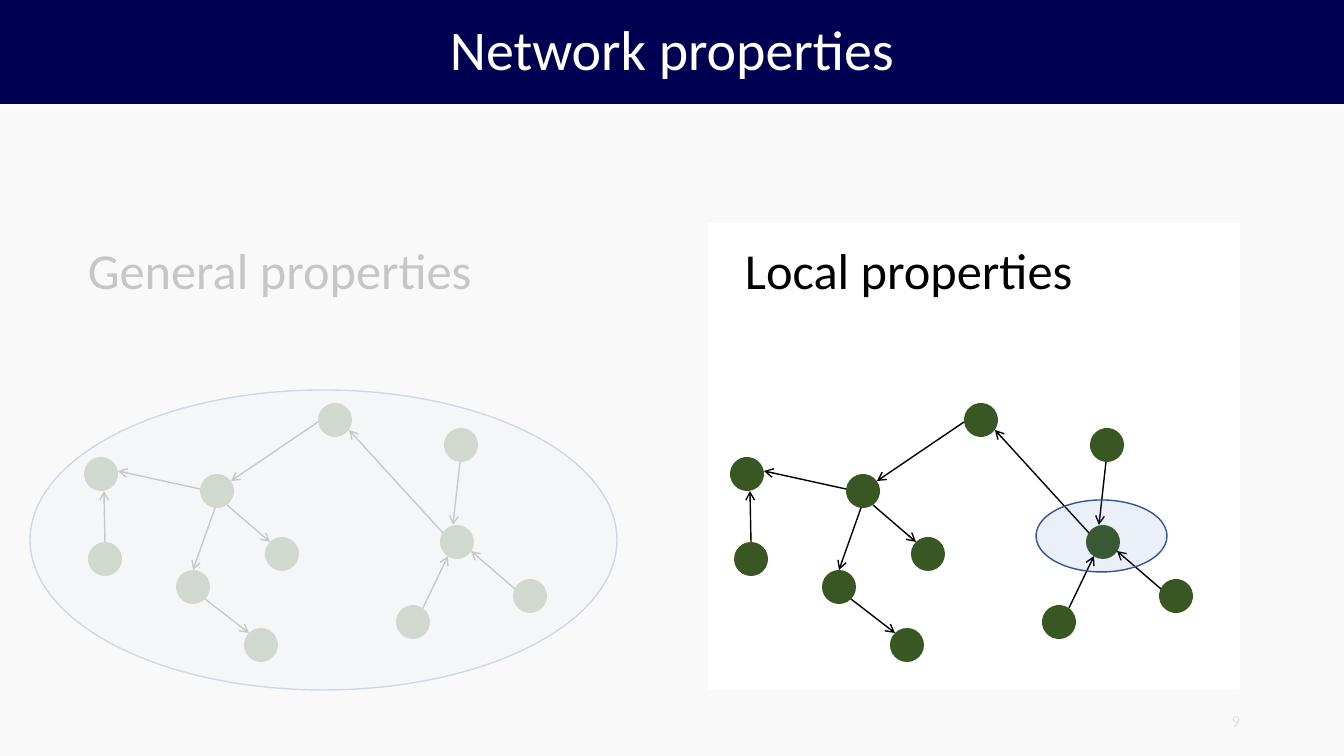
from math import cos, radians, sin

from lxml import etree
from pptx import Presentation
from pptx.dml.color import RGBColor
from pptx.enum.shapes import MSO_CONNECTOR, MSO_SHAPE
from pptx.enum.text import MSO_ANCHOR, PP_ALIGN
from pptx.oxml.ns import qn
from pptx.util import Pt

OVAL = MSO_SHAPE.OVAL
RECTANGLE = MSO_SHAPE.RECTANGLE
STRAIGHT = MSO_CONNECTOR.STRAIGHT
MIDDLE = MSO_ANCHOR.MIDDLE
LEFT, CENTER, RIGHT = PP_ALIGN.LEFT, PP_ALIGN.CENTER, PP_ALIGN.RIGHT

PAGE_WIDTH, PAGE_HEIGHT = 1344, 756
SCALE = 12192000 / PAGE_WIDTH
FONT = "Calibri"
NODE_SIZE = 34

TITLE = "Network properties"
TITLE_HEIGHT = 104
PAGE_NUMBER = "9"

HEADINGS = [
    ("General properties", (78, 234, 408, 72)),
    ("Local properties", (735, 234, 351, 72)),
]
NETWORK_OFFSETS = [0, 646]

# name: centre x, centre y, rotation
NODES = {
    "root": (335, 420, 262),
    "hub": (217, 491, 53),
    "west": (101, 474, 350.5),
    "southwest": (105, 559, 0),
    "branch": (193, 587, 0),
    "leaf": (261, 645, 315.8),
    "twig": (282, 554, 314.1),
    "focus": (457, 542, 347.1),
    "north": (461, 445, 4.7),
    "south": (413, 622, 307.2),
    "east": (530, 596, 24.5),
}
# source, source site, target, target site
ARROWS = [
    ("hub", 3, "west", 6),
    ("southwest", 0, "west", 4),
    ("hub", 5, "branch", 0),
    ("hub", 6, "twig", 0),
    ("root", 0, "hub", 0),
    ("branch", 5, "leaf", 0),
    ("focus", 1, "root", 3),
    ("south", 6, "focus", 3),
    ("north", 4, "focus", 0),
    ("east", 2, "focus", 5),
]
HIGHLIGHTS = [(30, 390, 587, 300), (1036, 500, 131, 72)]
VEIL_TOP = 105
WINDOW = (708, 223, 1240, 690)


def emu(*lengths):
    return [round(length * SCALE) for length in lengths]


def colour(value):
    return RGBColor.from_string(value)


def paint(shape, fill, opacity=100, line=None):
    shape.shadow.inherit = False
    shape.fill.solid()
    shape.fill.fore_color.rgb = colour(fill)
    if opacity < 100:
        tint = shape.fill._xPr.find(qn("a:solidFill"))[0]
        etree.SubElement(tint, qn("a:alpha"), val=str(opacity * 1000))
    if line:
        shape.line.color.rgb = colour(line)
        shape.line.width = Pt(1)
    else:
        shape.line.fill.background()


def write(shape, text, size, ink, align=LEFT, wrap=True):
    frame = shape.text_frame
    frame.text = text
    frame.word_wrap = wrap
    para = frame.paragraphs[0]
    para.alignment = align
    font = para.runs[0].font
    font.name = FONT
    font.size = Pt(size)
    font.color.rgb = colour(ink)
    return frame


def site_point(name, site):
    x, y, rotation = NODES[name]
    angle = radians(rotation - 90 - 45 * site)
    radius = NODE_SIZE / 2
    return round(x + radius * cos(angle)), round(y + radius * sin(angle))


def add_arrow(page, start, end):
    arrow = page.shapes.add_connector(STRAIGHT, *emu(*start, *end))
    arrow.line.color.rgb = colour("000000")
    arrow.line.width = Pt(1)
    etree.SubElement(arrow.line._get_or_add_ln(), qn("a:tailEnd"), type="arrow")
    etree.SubElement(arrow._element.spPr, qn("a:effectLst"))


def add_network(page, offset):
    for x, y, rotation in NODES.values():
        corner = x + offset - NODE_SIZE / 2, y - NODE_SIZE / 2
        node = page.shapes.add_shape(OVAL, *emu(*corner, NODE_SIZE, NODE_SIZE))
        node.rotation = rotation
        paint(node, "385723")
    for source, source_site, target, target_site in ARROWS:
        start_x, start_y = site_point(source, source_site)
        end_x, end_y = site_point(target, target_site)
        add_arrow(page, (start_x + offset, start_y), (end_x + offset, end_y))


def add_veil(page):
    left, top, right, bottom = WINDOW
    builder = page.shapes.build_freeform(left, top, scale=SCALE)
    builder.add_line_segments([(left, bottom), (right, bottom), (right, top)])
    builder.move_to(0, VEIL_TOP)
    builder.add_line_segments(
        [(PAGE_WIDTH, VEIL_TOP), (PAGE_WIDTH, PAGE_HEIGHT), (0, PAGE_HEIGHT)]
    )
    paint(builder.convert_to_shape(), "F8F8F8", 80)


def main():
    deck = Presentation()
    deck.slide_width, deck.slide_height = emu(PAGE_WIDTH, PAGE_HEIGHT)
    page = deck.slides.add_slide(deck.slide_layouts[6])

    banner = page.shapes.add_shape(RECTANGLE, *emu(0, 0, PAGE_WIDTH, TITLE_HEIGHT))
    paint(banner, "000053")
    frame = write(banner, TITLE, 40, "FFFFFF", CENTER)
    frame.vertical_anchor = MIDDLE
    frame.paragraphs[0].line_spacing = 0.9

    number = page.shapes.add_textbox(*emu(948, 701, 302, 40))
    write(number, PAGE_NUMBER, 12, "898989", RIGHT).vertical_anchor = MIDDLE

    for text, place in HEADINGS:
        write(page.shapes.add_textbox(*emu(*place)), text, 36, "000000", wrap=False)
    for offset in NETWORK_OFFSETS:
        add_network(page, offset)
    for place in HIGHLIGHTS:
        paint(page.shapes.add_shape(OVAL, *emu(*place)), "4472C4", 11, "325491")
    add_veil(page)

    deck.save("out.pptx")


if __name__ == "__main__":
    main()
